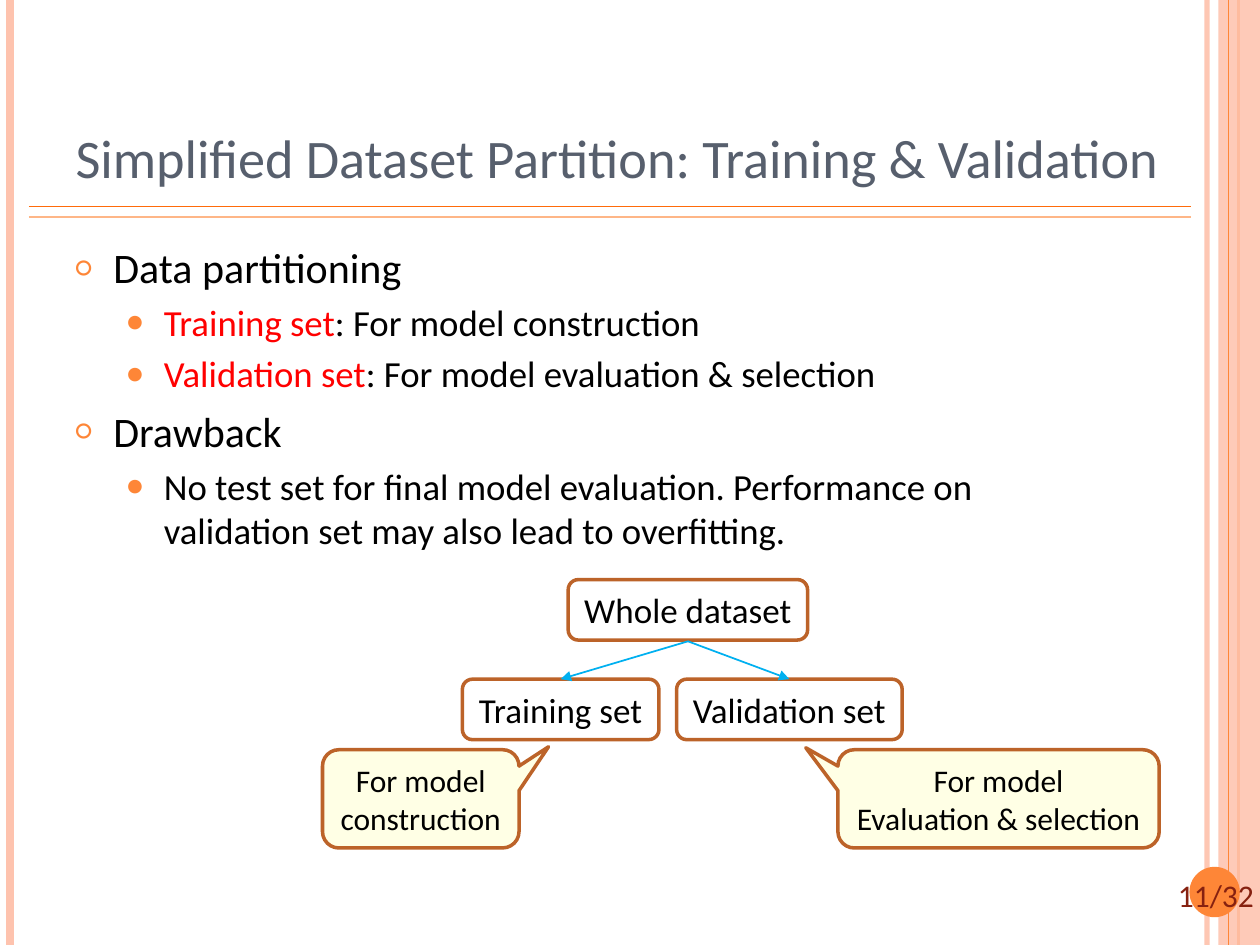
from dataclasses import dataclass

from lxml.etree import SubElement
from pptx import Presentation
from pptx.dml.color import RGBColor
from pptx.enum.shapes import MSO_CONNECTOR as CONN, MSO_SHAPE as SHAPE
from pptx.enum.text import MSO_ANCHOR as ANCHOR, MSO_AUTO_SIZE as AUTO, PP_ALIGN as ALIGN
from pptx.oxml.ns import qn
from pptx.util import Inches, Pt


@dataclass(frozen=True)
class Theme:
    font: str = "Calibri"
    text: str = "000000"
    title: str = "575F6D"
    accent: str = "FE8637"
    rule: str = "FF6B0A"
    rule_light: str = "FEB687"
    band: str = "FEC3AE"
    number: str = "862110"
    key: str = "FF0000"
    border: str = "BC6329"
    arrow: str = "00B0F0"
    note: str = "FFFFCC"
    title_size: float = 31
    topic_size: float = 24
    detail_size: float = 21
    box_size: float = 20
    small_size: float = 18


T = Theme()
COLS, ROWS = 100, 75  # grid of 0.1 inch cells
LEVELS = [  # list format by level
    {"size": T.topic_size, "left": 3, "before": 6, "char": "○", "scale": 70},
    {"size": T.detail_size, "left": 7, "before": 4.2, "char": "●", "scale": 80},
]
TITLE = "Simplified Dataset Partition: Training & Validation"
BODY = [  # level, highlighted words, plain words
    (0, "", "Data partitioning"),
    (1, "Training set", ": For model construction"),
    (1, "Validation set", ": For model evaluation & selection"),
    (0, "", "Drawback"),
    (1, "", "No test set for final model evaluation. Performance on "
            "validation set may also lead to overfitting."),
]


def grid(*cells):
    return [Inches(c / 10) for c in cells]


def set_all(obj, **values):
    for name, value in values.items():
        setattr(obj, name, value)


def place(sp, *at):
    set_all(sp, **dict(zip(("left", "top", "width", "height"), grid(*at))))


def set_alpha(parent, percent):
    clr = parent.find(".//" + qn("a:srgbClr"))
    SubElement(clr, qn("a:alpha"), val=str(percent * 1000))


def add_run(p, text, size, color):
    r = p.add_run()
    r.text = text
    set_all(r.font, name=T.font, size=Pt(size))
    r.font.color.rgb = RGBColor.from_string(color)


def add_line(s, start, end, color, width, alpha=None, arrow=False):
    ln = s.shapes.add_connector(CONN.STRAIGHT, *grid(*start, *end))
    ln.line.width = Pt(width)
    ln.line.color.rgb = RGBColor.from_string(color)
    sp_pr = ln._element.spPr
    if alpha:
        set_alpha(sp_pr, alpha)
    if arrow:
        SubElement(ln.line._get_or_add_ln(), qn("a:tailEnd"), type="triangle")
    SubElement(sp_pr, qn("a:effectLst"))


def add_shape(s, kind, at, fill=None, border=None, alpha=None):
    sp = s.shapes.add_shape(kind, *grid(*at))
    sp.shadow.inherit = False
    if fill:
        sp.fill.solid()
        sp.fill.fore_color.rgb = RGBColor.from_string(fill)
        if alpha:
            set_alpha(sp._element.spPr, alpha)
    else:
        sp.fill.background()
    if border:
        sp.line.width = Pt(2)
        sp.line.color.rgb = RGBColor.from_string(border)
    else:
        sp.line.fill.background()
    return sp


def add_label(sp, lines, size):
    tf = sp.text_frame
    set_all(tf, word_wrap=False, vertical_anchor=ANCHOR.MIDDLE)
    for i, line in enumerate(lines):
        p = tf.add_paragraph() if i else tf.paragraphs[0]
        p.alignment = ALIGN.CENTER
        add_run(p, line, size, T.text)


def add_box(s, text, at):
    sp = add_shape(s, SHAPE.ROUNDED_RECTANGLE, at, border=T.border)
    add_label(sp, [text], T.box_size)


def add_callout(s, lines, at, tip):
    sp = add_shape(s, SHAPE.ROUNDED_RECTANGULAR_CALLOUT, at, T.note, T.border, 50)
    for i, value in enumerate(tip):
        sp.adjustments[i] = value
    add_label(sp, lines, T.small_size)


def add_frame(s):
    # Side bands, title rules and page number
    for x, color, width, alpha in [(95.8, T.band, 3, 93), (0.8, T.band, 4.5, None),
                                   (98.3, T.accent, 1.5, None)]:
        add_line(s, (x, 0), (x, ROWS), color, width, alpha)
    add_shape(s, SHAPE.RECTANGLE, (96.7, 0, COLS - 96.7, ROWS), T.band, alpha=87)
    add_line(s, (97.5, 0), (97.5, ROWS), T.accent, 0.75)
    for y, color in [(16.4, T.rule), (17.2, T.rule_light)]:
        add_line(s, (2.3, y), (94.5, y), color, 1)
    add_shape(s, SHAPE.OVAL, (94.4, 68.8, 4, 4), T.accent)
    tb = s.shapes.add_textbox(*grid(92.5, 69, 9.1, 4))
    tb.text_frame.word_wrap = True
    add_run(tb.text_frame.paragraphs[0], "11/32", T.small_size, T.number)


def fill_title(s):
    sp = s.shapes.title
    place(sp, 5, 3, 89.1, 12.5)
    set_all(sp.text_frame, auto_size=AUTO.NONE, vertical_anchor=ANCHOR.BOTTOM)
    p = sp.text_frame.paragraphs[0]
    p.alignment = ALIGN.LEFT
    add_run(p, TITLE, T.title_size, T.title)


def set_bullet(p, left, char, scale):
    ppr = p._p.get_or_add_pPr()
    ppr.set("marL", str(Inches(left / 10)))
    ppr.set("indent", str(-Inches(0.3)))
    clr = SubElement(ppr, qn("a:buClr"))
    SubElement(clr, qn("a:srgbClr"), val=T.accent)
    SubElement(ppr, qn("a:buSzPct"), val=str(scale * 1000))
    SubElement(ppr, qn("a:buFont"), typeface=T.font)
    SubElement(ppr, qn("a:buChar"), char=char)


def fill_body(s):
    sp = s.placeholders[1]
    place(sp, 5, 18.7, 81.7, 52.1)
    tf = sp.text_frame
    tf.auto_size = AUTO.NONE
    for i, (level, key, plain) in enumerate(BODY):
        p = tf.add_paragraph() if i else tf.paragraphs[0]
        fmt = LEVELS[level]
        set_all(p, level=level, space_before=Pt(fmt["before"]))
        set_bullet(p, fmt["left"], fmt["char"], fmt["scale"])
        if key:
            add_run(p, key, fmt["size"], T.key)
        add_run(p, plain, fmt["size"], T.text)


def add_diagram(s):
    # Whole dataset split into two sets, each with its purpose
    root_x, root_y, set_y, note_y, box_h, note_h = 54.6, 46, 53.9, 59.5, 4.8, 7.8
    add_box(s, "Whole dataset", (root_x - 9.5, root_y, 19, box_h))
    for text, x, w in [("Validation set", 53.7, 17.9), ("Training set", 36.7, 15.6)]:
        add_box(s, text, (x, set_y, w, box_h))
        add_line(s, (root_x, root_y + box_h + 0.1), (x + w / 2, set_y), T.arrow, 1,
                 arrow=True)
    add_callout(s, ["For model", "Evaluation & selection"],
                (66.5, note_y, 25.5, note_h), (-0.6, -0.52))
    add_callout(s, ["For model", "construction"],
                (25.6, note_y, 15.6, note_h), (0.65, -0.53))


def main():
    prs = Presentation()
    set_all(prs, slide_width=Inches(COLS / 10), slide_height=Inches(ROWS / 10))
    s = prs.slides.add_slide(prs.slide_layouts[1])
    add_frame(s)
    fill_title(s)
    fill_body(s)
    add_diagram(s)
    prs.save("out.pptx")


if __name__ == "__main__":
    main()
